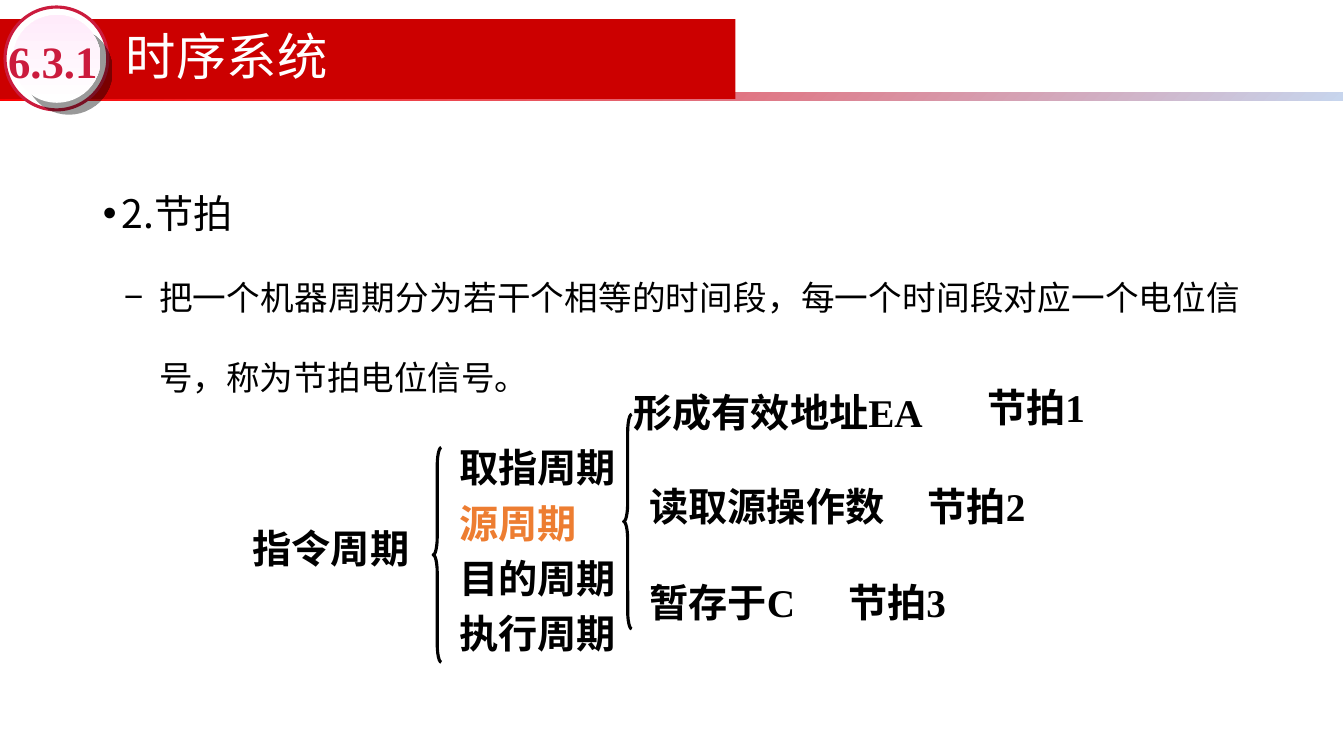
from lxml.etree import SubElement
from pptx import Presentation
from pptx.dml.color import RGBColor
from pptx.enum.shapes import MSO_SHAPE
from pptx.enum.text import MSO_ANCHOR, MSO_AUTO_SIZE, PP_ALIGN
from pptx.oxml.ns import qn
from pptx.util import Inches, Pt

SANS = "Noto Sans CJK SC"
SERIF = "Times New Roman"
BLACK, WHITE, RED, CRIMSON, ORANGE = "000000", "FFFFFF", "CC0000", "CB1B3D", "ED7D31"


def colour(value):
    return RGBColor.from_string(value)


class SlideBuilder:
    """Holds the text style and the current slide, and draws its elements."""

    def __init__(self, deck):
        self.page = deck.slides.add_slide(deck.slide_layouts[1])
        self.label_size = 28

    def format_para(self, para, size, font, ink, bold=False):
        for span in para.runs:
            span.font.size = Pt(size)
            span.font.name = font
            span.font.bold = bold
            span.font.color.rgb = colour(ink)
            east_asian = SubElement(span.font._element, qn("a:ea"))
            east_asian.set("typeface", SANS)

    def place(self, shape, left, top, width, height):
        shape.left, shape.top = Inches(left), Inches(top)
        shape.width, shape.height = Inches(width), Inches(height)

    def shape(self, kind, left, top, width, height, fill=None, line=None, gradient=None, angle=0):
        shape = self.page.shapes.add_shape(
            kind, Inches(left), Inches(top), Inches(width), Inches(height))
        shape.shadow.inherit = False
        if gradient:
            shape.fill.gradient()
            shape.fill.gradient_angle = angle
            for stop, value, position in zip(shape.fill.gradient_stops, gradient, (0, 1)):
                stop.color.rgb = colour(value)
                stop.position = position
        elif fill:
            shape.fill.solid()
            shape.fill.fore_color.rgb = colour(fill)
        else:
            shape.fill.background()
        if line:
            shape.line.color.rgb = colour(line)
            shape.line.width = Pt(2.25)
        else:
            shape.line.fill.background()
        return shape

    def drop_shadow(self, shape):
        effects = shape._element.spPr.find(qn("a:effectLst"))
        shadow = SubElement(effects, qn("a:outerShdw"), dist=str(Pt(12.1)), dir="2700000",
                            algn="ctr", rotWithShape="0")
        ink = SubElement(shadow, qn("a:srgbClr"), val=BLACK)
        SubElement(ink, qn("a:alpha"), val="40000")

    def brace(self, left, top):
        brace = self.shape(MSO_SHAPE.LEFT_BRACE, left, top, 0.08, 2.13, line=BLACK)
        brace.adjustments[0] = 2.2

    def label(self, text, left, top, width, ink=BLACK):
        box = self.page.shapes.add_textbox(Inches(left), Inches(top), Inches(width), Inches(0.57))
        box.text_frame.word_wrap = True
        box.text_frame.text = text
        self.format_para(box.text_frame.paragraphs[0], self.label_size, SERIF, ink, True)

    def badge(self, text):
        self.shape(MSO_SHAPE.OVAL, 0.05, 0.07, 1.02, 1.02, fill=WHITE, line=CRIMSON)
        disc = self.shape(MSO_SHAPE.OVAL, 0.13, 0.15, 0.87, 0.87,
                          gradient=(WHITE, "FFEBFA"), angle=90)
        self.drop_shadow(disc)
        box = self.page.shapes.add_textbox(Inches(0.08), Inches(0.33), Inches(0.93), Inches(0.54))
        frame = box.text_frame
        frame.margin_left = frame.margin_right = frame.margin_top = frame.margin_bottom = 0
        frame.word_wrap = True
        frame.vertical_anchor = MSO_ANCHOR.MIDDLE
        frame.text = text
        self.format_para(frame.paragraphs[0], 32, SERIF, CRIMSON, True)

    def title(self, text):
        title = self.page.shapes.title
        self.page.shapes._spTree.append(title._element)
        self.place(title, 1.15, 0.18, 7.44, 0.82)
        frame = title.text_frame
        frame.auto_size = MSO_AUTO_SIZE.NONE
        frame.vertical_anchor = MSO_ANCHOR.MIDDLE
        frame.text = text
        para = frame.paragraphs[0]
        para.alignment = PP_ALIGN.LEFT
        para.line_spacing = 0.9
        self.format_para(para, 36, SANS, WHITE)

    def bullets(self, items):
        body = self.page.placeholders[1]
        self.place(body, 0.92, 1.36, 11.5, 5.44)
        frame = body.text_frame
        frame.auto_size = MSO_AUTO_SIZE.NONE
        frame.text = "\n".join(item[0] for item in items)
        for level, (para, item) in enumerate(zip(frame.paragraphs, items)):
            text, size, mark, margin, hanging = item
            para.level = level
            properties = para._p.get_or_add_pPr()
            properties.set("marL", str(Inches(margin)))
            properties.set("indent", str(-Inches(hanging)))
            mark_colour = SubElement(properties, qn("a:buClr"))
            SubElement(mark_colour, qn("a:srgbClr"), val=BLACK)
            SubElement(properties, qn("a:buChar"), char=mark)
            para.alignment = PP_ALIGN.JUSTIFY
            para.line_spacing = 2.0
            para.space_before = Pt(0)
            self.format_para(para, size, SANS, BLACK)


def main():
    deck = Presentation()
    deck.slide_width, deck.slide_height = Inches(13.34), Inches(7.5)
    slide = SlideBuilder(deck)

    slide.shape(MSO_SHAPE.RECTANGLE, 0, 0.92, 13.33, 0.08, gradient=("FF0000", "C7D5ED"), angle=315)
    slide.shape(MSO_SHAPE.RECTANGLE, 0, 0.19, 7.3, 0.79, fill=RED)
    slide.title("时序系统")
    slide.badge("6.3.1")
    slide.bullets([
        ("2.节拍", 28, "•", 0.19, 0.19),
        ("把一个机器周期分为若干个相等的时间段，每一个时间段对应一个电位信号，称为节拍电位信号。",
         24, "−", 0.56, 0.35),
    ])

    slide.label("指令周期", 2.41, 5.15, 1.81)
    slide.brace(4.3, 4.44)
    for row, cycle in enumerate(("取指周期", "源周期", "目的周期", "执行周期")):
        slide.label(cycle, 4.46, 4.35 + 0.55 * row, 1.81, ORANGE if cycle == "源周期" else BLACK)
    slide.brace(6.19, 4.11)
    for step, left, top, beat, beat_left, beat_top in (
        ("形成有效地址EA", 6.19, 3.8, "节拍1", 9.7, 3.75),
        ("读取源操作数", 6.35, 4.74, "节拍2", 9.11, 4.74),
        ("暂存于C", 6.35, 5.69, "节拍3", 8.32, 5.69),
    ):
        slide.label(step, left, top, 3.46)
        slide.label(beat, beat_left, beat_top, 1.85)

    deck.save("out.pptx")


if __name__ == "__main__":
    main()
